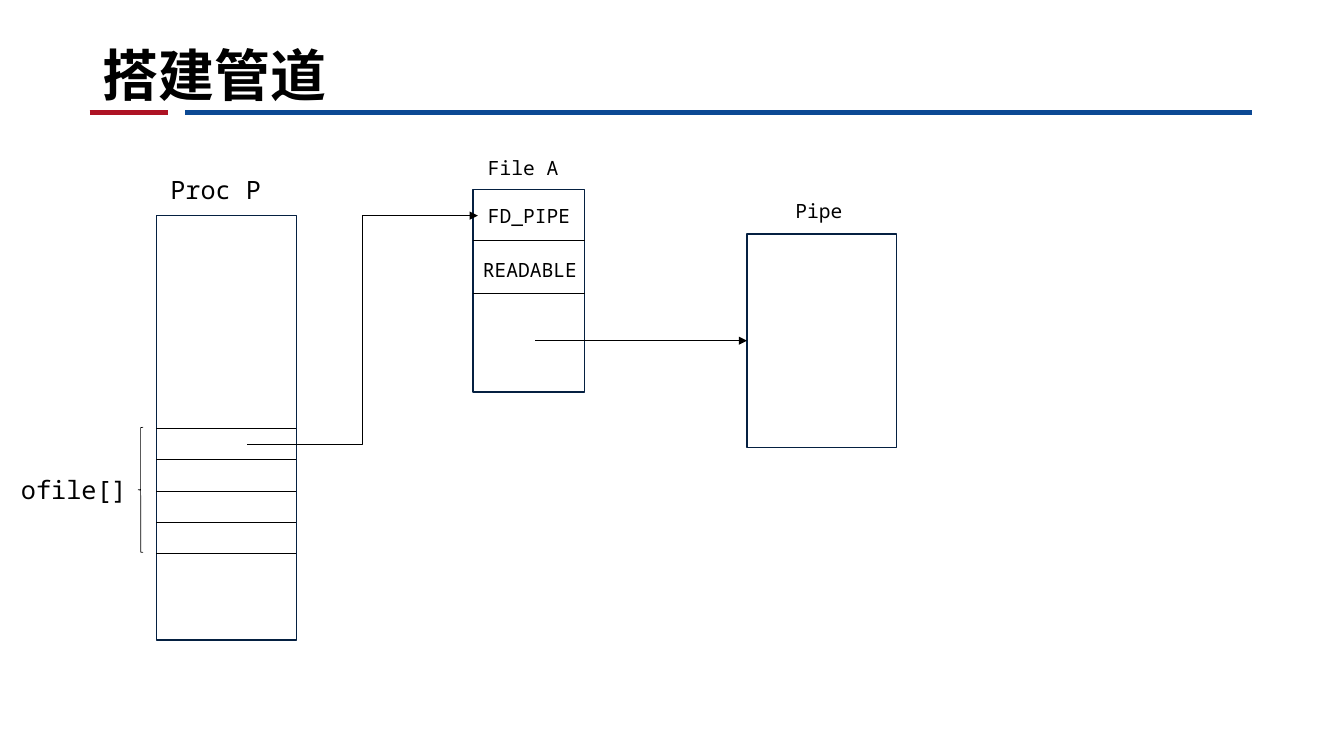
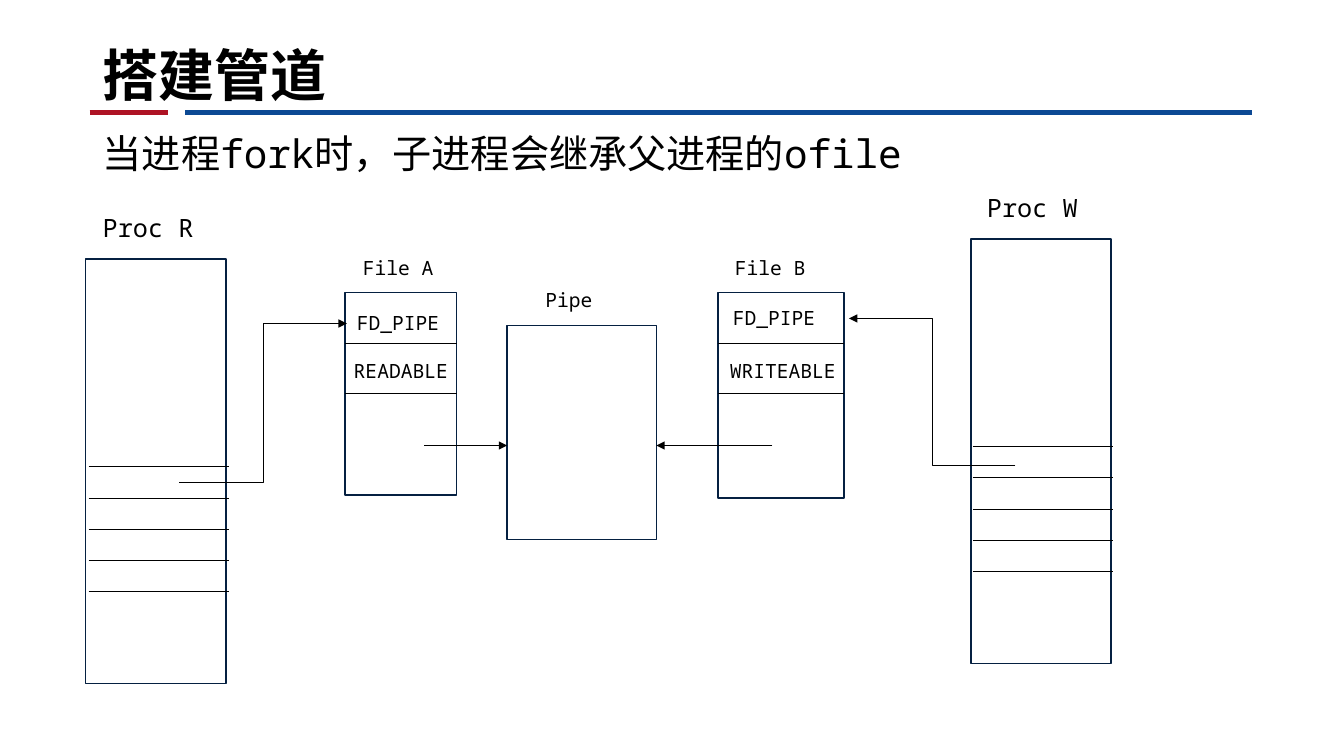
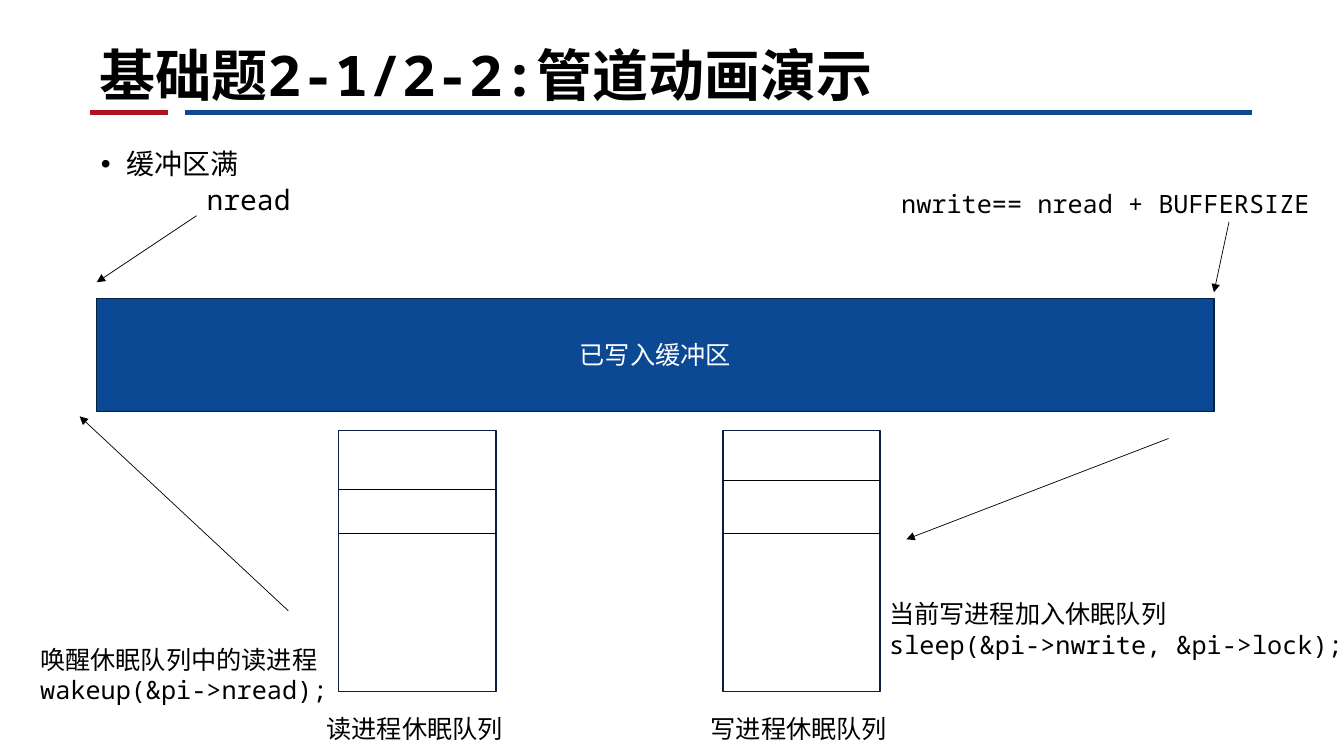
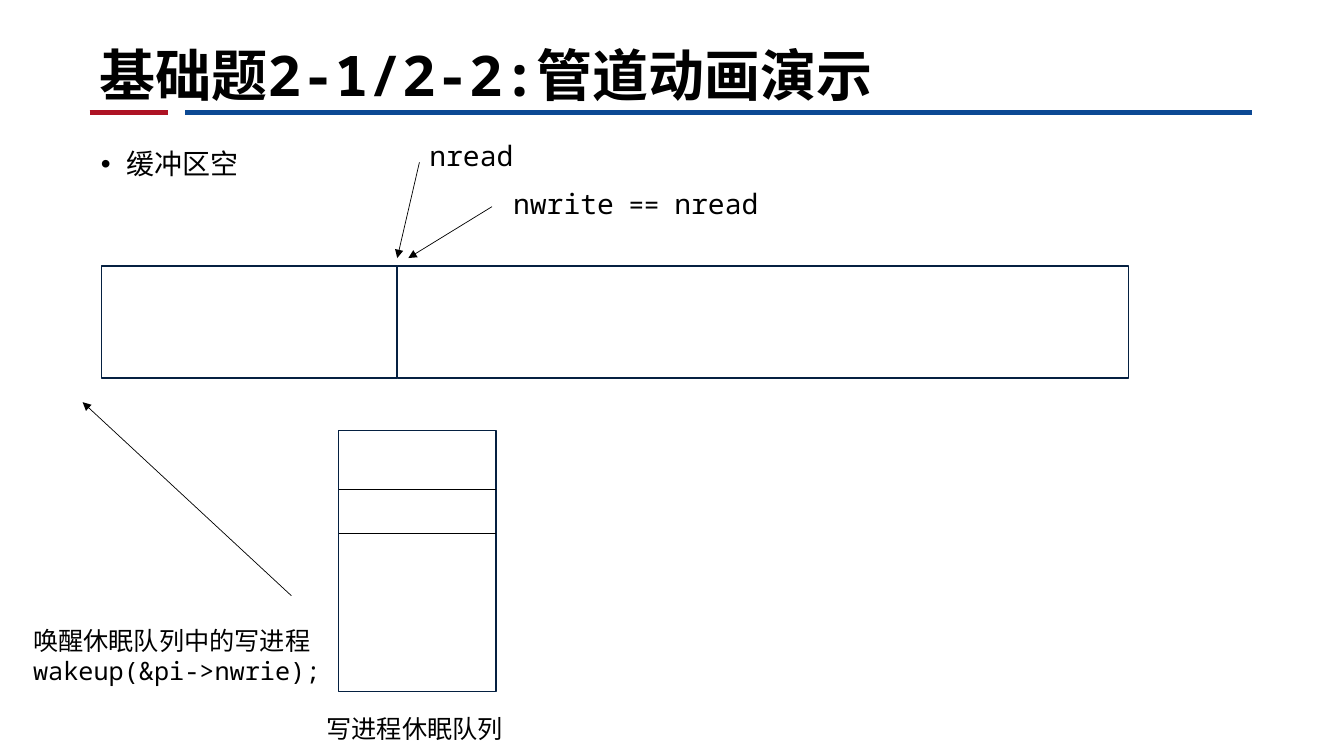
import lxml.etree
import pptx
import pptx.dml.color
import pptx.enum.shapes
import pptx.enum.text
import pptx.oxml.ns
import pptx.util

PX = 9144
SANS = "Arial"
MONO = "Noto Sans Mono"
TITLE_FONT = "Roboto Condensed"
BLACK, WHITE, BLUE, RED, NAVY = "000000", "FFFFFF", "0C4994", "AE1324", "052041"
LABEL_HEIGHTS = {14: 34, 18: 40, 20: 44}
SLOT_COUNT, SLOT_GAP = 5, 31
PROCESS_WIDTH, PROCESS_HEIGHT = 139, 421
SHAPES = pptx.enum.shapes.MSO_SHAPE
CONNECTORS = pptx.enum.shapes.MSO_CONNECTOR
qn = pptx.oxml.ns.qn


def px(*lengths):
    return [pptx.util.Emu(length * PX) for length in lengths]


def color(value):
    return pptx.dml.color.RGBColor.from_string(value)


def write(para, text, font=MONO, size=18, fill=BLACK, bold=False):
    span = para.add_run()
    span.text = text
    span.font.name = font
    span.font.size = pptx.util.Pt(size)
    span.font.bold = bold
    span.font.color.rgb = color(fill)


class Diagram:
    """Draws pipe diagrams on the current page in one shared style."""

    def __init__(self):
        self.deck = pptx.Presentation()
        self.deck.slide_width, self.deck.slide_height = px(1333, 750)
        self.layout = self.deck.slide_layouts[1]
        for holder in list(self.layout.placeholders):
            if holder.placeholder_format.idx >= 10:
                holder.element.getparent().remove(holder.element)

    def start(self, title, left=92, font=MONO):
        self.page = self.deck.slides.add_slide(self.layout)
        self.rects = []
        if len(self.deck.slides) == 1:
            self.add_bands()
        holder = self.page.shapes.title
        para = self.place(holder, left, 0, 1242 - left, 112)
        holder.text_frame.vertical_anchor = pptx.enum.text.MSO_ANCHOR.BOTTOM
        write(para, title, font=font, size=40, bold=True)

    def add_bands(self):
        tree = self.layout.placeholders[0].element.getparent()
        for left, right, fill in ((89, 167, RED), (184, 1242, BLUE)):
            band = self.line((left, 112), (right, 112), fill=fill, width=3.5)
            tree.append(band.element)

    def place(self, holder, left, top, width, height):
        holder.left, holder.top, holder.width, holder.height = px(left, top, width, height)
        frame = holder.text_frame
        frame.word_wrap = True
        frame.auto_size = pptx.enum.text.MSO_AUTO_SIZE.NONE
        para = frame.paragraphs[0]
        para.alignment = pptx.enum.text.PP_ALIGN.LEFT
        para.space_before = pptx.util.Pt(0)
        return para

    def body(self, text, at, spacing, bullet=False, **style):
        para = self.place(self.page.placeholders[1], *at)
        properties = para._p.get_or_add_pPr()
        indent = px(25)[0] if bullet else 0
        properties.set("marL", str(indent))
        properties.set("indent", str(-indent))
        if bullet:
            mark = lxml.etree.SubElement(properties, qn("a:buChar"))
            mark.set("char", "•")
        else:
            lxml.etree.SubElement(properties, qn("a:buNone"))
        para.line_spacing = spacing
        write(para, text, **style)

    def no_body(self):
        holder = self.page.placeholders[1].element
        holder.getparent().remove(holder)

    def rect(self, left, top, width, height, fill=WHITE):
        box = self.page.shapes.add_shape(SHAPES.RECTANGLE, *px(left, top, width, height))
        box.shadow.inherit = False
        box.fill.solid()
        box.fill.fore_color.rgb = color(fill)
        box.line.color.rgb = color(NAVY)
        box.line.width = pptx.util.Pt(1)
        middle, center = top + height / 2, left + width / 2
        sites = ((center, top), (left, middle), (center, top + height), (left + width, middle))
        self.rects.append((box, sites))
        return box

    def brace(self, left, top, width, height):
        mark = self.page.shapes.add_shape(SHAPES.LEFT_BRACE, *px(left, top, width, height))
        mark.shadow.inherit = False
        mark.fill.background()
        mark.line.color.rgb = color(BLACK)
        mark.line.width = pptx.util.Pt(0.5)

    def line(self, start, end, kind=CONNECTORS.STRAIGHT, arrow=False, fill=BLACK, width=0.5):
        line = self.page.shapes.add_connector(kind, *px(*start, *end))
        line.line.color.rgb = color(fill)
        line.line.width = pptx.util.Pt(width)
        properties = line.element.spPr
        if arrow:
            head = lxml.etree.SubElement(properties.find(qn("a:ln")), qn("a:tailEnd"))
            head.set("type", "triangle")
        lxml.etree.SubElement(properties, qn("a:effectLst"))
        if kind == CONNECTORS.STRAIGHT:
            self.join(start, line.begin_connect)
            self.join(end, line.end_connect)
        return line

    def join(self, point, connect):
        for box, sites in self.rects:
            for index, site in enumerate(sites):
                if max(abs(site[0] - point[0]), abs(site[1] - point[1])) < 1:
                    connect(box, index)

    def arrow(self, start, end, kind=CONNECTORS.STRAIGHT):
        self.line(start, end, kind=kind, arrow=True)

    def elbow(self, start, end):
        self.arrow(start, end, kind=CONNECTORS.ELBOW)

    def label(self, left, top, width, text, size=18, font=MONO, wrap=False, code=None):
        height = LABEL_HEIGHTS[size] + (31 if code else 0)
        box = self.page.shapes.add_textbox(*px(left, top, width, height))
        frame = box.text_frame
        frame.word_wrap = wrap
        frame.auto_size = pptx.enum.text.MSO_AUTO_SIZE.SHAPE_TO_FIT_TEXT
        write(frame.paragraphs[0], text, font=font, size=size)
        if code:
            write(frame.add_paragraph(), code, size=size)
        return box

    def split_rect(self, left, top, width, height, dividers, shift=0):
        self.rect(left, top, width, height)
        for y in dividers:
            self.line((left + shift, y), (left + shift + width, y))

    def process(self, name, left, top, first_slot, name_at, shift=0):
        slots = [first_slot + SLOT_GAP * index for index in range(SLOT_COUNT)]
        self.split_rect(left, top, PROCESS_WIDTH, PROCESS_HEIGHT, slots, shift)
        self.label(*name_at, 111, name)

    def file(self, at, dividers, labels):
        self.split_rect(*at, dividers)
        for left, top, width, text in labels:
            self.label(left, top, width, text, size=14, wrap=True)

    def pipe(self, left, top, name_at):
        self.rect(left, top, 148, 212)
        self.label(*name_at, 96, "Pipe", size=14, wrap=True)

    def queue(self, name, left, dividers):
        self.split_rect(left, 427, 156, 259, dividers)
        self.label(left - 22, 703, 197, name, font=SANS)

    def buffer_page(self, state):
        self.start("基础题2-1/2-2:管道动画演示", left=89)
        self.body(state, (90, 144, 555, 41), 0.9, bullet=True, font=SANS, size=20)


def build_open_pipe(diagram):
    diagram.start("搭建管道", font=TITLE_FONT)
    diagram.no_body()
    diagram.process("Proc P", 155, 214, 425, (159, 168))
    diagram.brace(137, 424, 5, 124)
    diagram.label(11, 466, 126, "ofile[]")
    diagram.file((469, 188, 111, 201), (238, 291), (
        (474, 197, 125, "FD_PIPE"), (469, 251, 125, "READABLE"), (474, 150, 96, "File A")))
    diagram.elbow((245, 441), (474, 214))
    diagram.pipe(741, 232, (779, 192))
    diagram.arrow((531, 338), (741, 338))


def build_forked_pipe(diagram):
    diagram.start("搭建管道", font=TITLE_FONT)
    diagram.body("当进程fork时，子进程会继承父进程的ofile", (92, 132, 1150, 51), 0.8, size=28)
    diagram.process("Proc R", 85, 257, 463, (92, 206), shift=3)
    diagram.file((342, 290, 111, 201), (341, 390), (
        (344, 304, 125, "FD_PIPE"), (341, 351, 125, "READABLE"), (350, 249, 96, "File A")))
    diagram.elbow((178, 479), (344, 321))
    diagram.pipe(503, 323, (531, 281))
    diagram.arrow((421, 442), (503, 442))
    diagram.process("Proc W", 963, 237, 443, (969, 186), shift=2)
    diagram.file((712, 290, 125, 204), (341, 390), (
        (719, 249, 96, "File B"), (717, 299, 125, "FD_PIPE"), (714, 351, 125, "WRITEABLE")))
    diagram.arrow((766, 442), (651, 442))
    diagram.elbow((1007, 462), (842, 316))


def build_full_buffer(diagram):
    diagram.buffer_page("缓冲区满")
    para = diagram.rect(96, 296, 1108, 112, fill=BLUE).text_frame.paragraphs[0]
    para.alignment = pptx.enum.text.PP_ALIGN.CENTER
    write(para, "已写入缓冲区", font=SANS, fill=WHITE)
    diagram.label(195, 176, 118, "nread", size=20, wrap=True)
    diagram.label(884, 182, 449, "nwrite== nread + BUFFERSIZE", wrap=True)
    diagram.queue("读进程休眠队列", 336, (485, 529))
    diagram.queue("写进程休眠队列", 717, (477, 529))
    diagram.label(872, 589, 472, "当前写进程加入休眠队列", font=SANS,
                  code="sleep(&pi->nwrite, &pi->lock);")
    diagram.label(30, 634, 307, "唤醒休眠队列中的读进程", font=SANS,
                  code="wakeup(&pi->nread);")
    for start, end in (((195, 214), (96, 280)), ((1219, 220), (1204, 290)),
                       ((1159, 435), (899, 535)), ((286, 606), (79, 413))):
        diagram.arrow(start, end)


def build_empty_buffer(diagram):
    diagram.buffer_page("缓冲区空")
    diagram.rect(101, 264, 293, 111)
    diagram.rect(394, 264, 725, 111)
    diagram.label(416, 132, 118, "nread", size=20, wrap=True)
    diagram.label(499, 180, 141, "nwrite", size=20, wrap=True)
    equality = diagram.label(614, 180, 150, "== ")
    write(equality.text_frame.paragraphs[0], "nread", size=20)
    diagram.queue("写进程休眠队列", 336, (485, 529))
    diagram.label(23, 615, 307, "唤醒休眠队列中的写进程", font=SANS,
                  code="wakeup(&pi->nwrie);")
    for start, end in (((416, 161), (394, 256)), ((488, 205), (405, 256)),
                       ((289, 591), (82, 399))):
        diagram.arrow(start, end)


def main():
    diagram = Diagram()
    for build in (build_open_pipe, build_forked_pipe, build_full_buffer, build_empty_buffer):
        build(diagram)
    diagram.deck.save("out.pptx")


if __name__ == "__main__":
    main()
